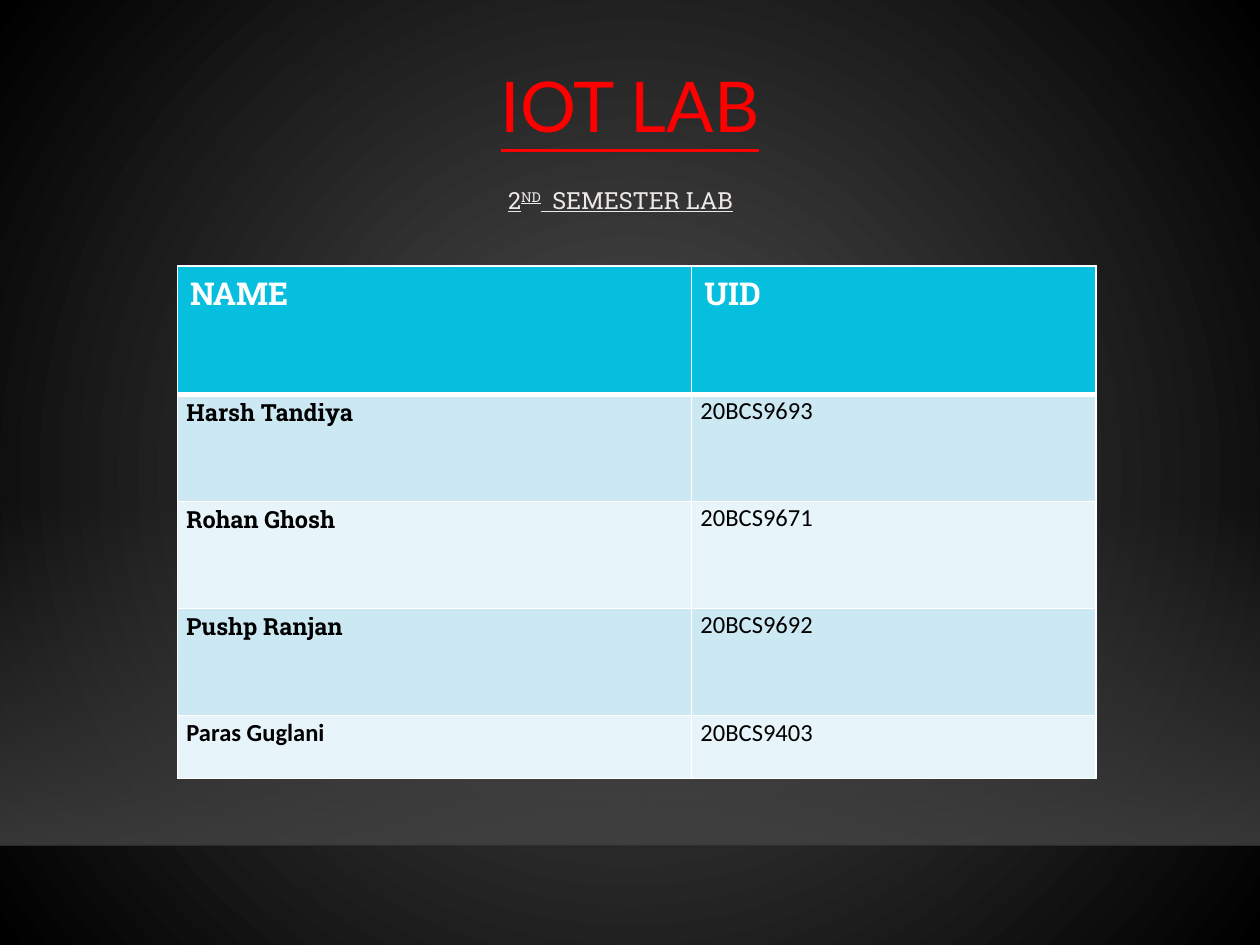
from lxml.etree import SubElement
from pptx import Presentation
from pptx.dml.color import RGBColor
from pptx.enum.shapes import MSO_CONNECTOR as Connector, MSO_SHAPE as Shape
from pptx.enum.text import MSO_ANCHOR as Anchor, PP_ALIGN as Align
from pptx.oxml.ns import qn
from pptx.util import Inches, Pt

WIDTH, HEIGHT = 10, 7.5
FLOOR_TOP, FLOOR_EDGE = 3.96, 6.71
COLUMNS = (4.08, 3.21)
ROWS = (1.02, 0.85, 0.85, 0.85, 0.5)
SLAB, SANS = "Roboto Slab", "Calibri"
MEMBERS = (
    ("Harsh Tandiya", "20BCS9693", SLAB, 13.5),
    ("Rohan Ghosh", "20BCS9671", SLAB, 13.5),
    ("Pushp Ranjan", "20BCS9692", SLAB, 13.5),
    ("Paras Guglani", "20BCS9403", SANS, 14),
)


def color(value):
    """Turn a hex string into a colour."""
    return RGBColor.from_string(value)


def node(parent, tag, **attributes):
    """Append an XML element and return it."""
    return SubElement(parent, qn(tag), attributes)


def add_color(parent, value, opacity=100):
    """Append a colour with an opacity in percent."""
    rgb = node(parent, "a:srgbClr", val=value)
    if opacity < 100:
        node(rgb, "a:alpha", val=str(opacity * 1000))


def set_gradient(solid, stops):
    """Turn a solid fill element into a gradient and return it."""
    gradient = solid.makeelement(qn("a:gradFill"), {"rotWithShape": "1"})
    stop_list = node(gradient, "a:gsLst")
    for position, value, opacity in stops:
        add_color(node(stop_list, "a:gs", pos=str(position * 1000)), value, opacity)
    solid.getparent().replace(solid, gradient)
    return gradient


def add_backdrop(slide):
    """Fill the background with a glow from the centre."""
    slide.background.fill.solid()
    solid = slide.element.find(".//" + qn("p:bgPr")).find(qn("a:solidFill"))
    glow = set_gradient(solid, ((0, "505050", 100), (100, "000000", 100)))
    center = node(glow, "a:path", path="circle")
    node(center, "a:fillToRect", l="50000", t="50000", r="50000", b="50000")


def add_floor(slide):
    """Draw the fading floor and its edge."""
    floor = slide.shapes.add_shape(
        Shape.RECTANGLE, 0, Inches(FLOOR_TOP), Inches(WIDTH), Inches(FLOOR_EDGE - FLOOR_TOP))
    floor.shadow.inherit = False
    floor.line.fill.background()
    floor.fill.solid()
    solid = floor.element.spPr.find(qn("a:solidFill"))
    fade = set_gradient(solid, ((0, "454545", 0), (100, "454545", 80)))
    node(fade, "a:lin", ang="5400000", scaled="0")

    edge = slide.shapes.add_connector(
        Connector.STRAIGHT, 0, Inches(FLOOR_EDGE), Inches(WIDTH), Inches(FLOOR_EDGE))
    edge.line.width = Pt(1)
    edge.line.color.rgb = color("000001")
    rgb = edge.element.spPr.find(".//" + qn("a:srgbClr"))
    node(rgb, "a:alpha", val="20000")
    node(edge.element.spPr, "a:effectLst")


def set_font(paragraph, name, size, value, bold=False, underline=False):
    """Set the font that all runs of a paragraph share."""
    font = paragraph.font
    font.name, font.size, font.bold = name, Pt(size), bold
    font.underline = underline
    font.color.rgb = color(value)


def add_heading(slide, box, runs, font, size, value, spacing, insets, anchor):
    """Add a centred, underlined line from (text, baseline) runs."""
    frame = slide.shapes.add_textbox(*map(Inches, box)).text_frame
    frame.word_wrap = True
    frame.vertical_anchor = anchor
    frame.margin_top, frame.margin_bottom = map(Inches, insets)
    line = frame.paragraphs[0]
    line.alignment = Align.CENTER
    line.line_spacing = spacing
    set_font(line, font, size, value, underline=True)
    for text, baseline in runs:
        run = line.add_run()
        run.text = text
        if baseline:
            run.font._element.set("baseline", str(baseline * 1000))
    return line


def set_borders(cell, bottom):
    """Draw white borders, with the bottom width given in points."""
    properties = cell._tc.get_or_add_tcPr()
    for index, (side, width) in enumerate((("L", 1), ("R", 1), ("T", 1), ("B", bottom))):
        border = properties.makeelement(qn("a:ln" + side), {"w": str(Pt(width))})
        add_color(node(border, "a:solidFill"), "FFFFFF")
        properties.insert(index, border)


def fill_cell(cell, text, font, size, value, fill, bold, header=False):
    """Write and style one table cell."""
    cell.text = text
    cell.fill.solid()
    cell.fill.fore_color.rgb = color(fill)
    entry = cell.text_frame.paragraphs[0]
    set_font(entry, font, size, value, bold)
    if not header:
        entry.line_spacing = 1.07
        cell.margin_left = cell.margin_right = Inches(0.07)
        cell.margin_top = cell.margin_bottom = 0
    set_borders(cell, 3 if header else 1)


def add_members(slide):
    """Add the table of names and identifiers."""
    table = slide.shapes.add_table(
        len(ROWS), len(COLUMNS), Inches(1.41), Inches(2.11),
        Inches(sum(COLUMNS)), Inches(sum(ROWS))).table
    for column, width in zip(table.columns, COLUMNS):
        column.width = Inches(width)
    for row, height in zip(table.rows, ROWS):
        row.height = Inches(height)
    for index, label in enumerate(("NAME", "UID")):
        fill_cell(table.cell(0, index), label, SLAB, 18, "FFFFFF", "06BFDE", True, True)
    for index, (name, uid, font, size) in enumerate(MEMBERS, 1):
        band = "CCE8F2" if index % 2 else "E7F4F9"
        fill_cell(table.cell(index, 0), name, font, size, "000000", band, True)
        fill_cell(table.cell(index, 1), uid, SANS, 14, "000000", band, False)


def main():
    """Build and save the slide."""
    deck = Presentation()
    deck.slide_width, deck.slide_height = Inches(WIDTH), Inches(HEIGHT)
    slide = deck.slides.add_slide(deck.slide_layouts[6])
    add_backdrop(slide)
    add_floor(slide)
    add_heading(slide, (0, 0, WIDTH, 1.17), (("IOT LAB", 0),),
                "Lato", 40, "FF0000", 0.9, (0.05, 0), Anchor.BOTTOM)
    subtitle = add_heading(
        slide, (0.16, 1.33, 9.53, 0.78), (("2", 0), ("ND", 30), ("  SEMESTER LAB", 0)),
        SLAB, 13.5, "ECE8E6", 1.2, (0.1, 0.1), Anchor.TOP)
    subtitle.space_before = Pt(7.5)
    add_members(slide)
    deck.save("out.pptx")


main()
